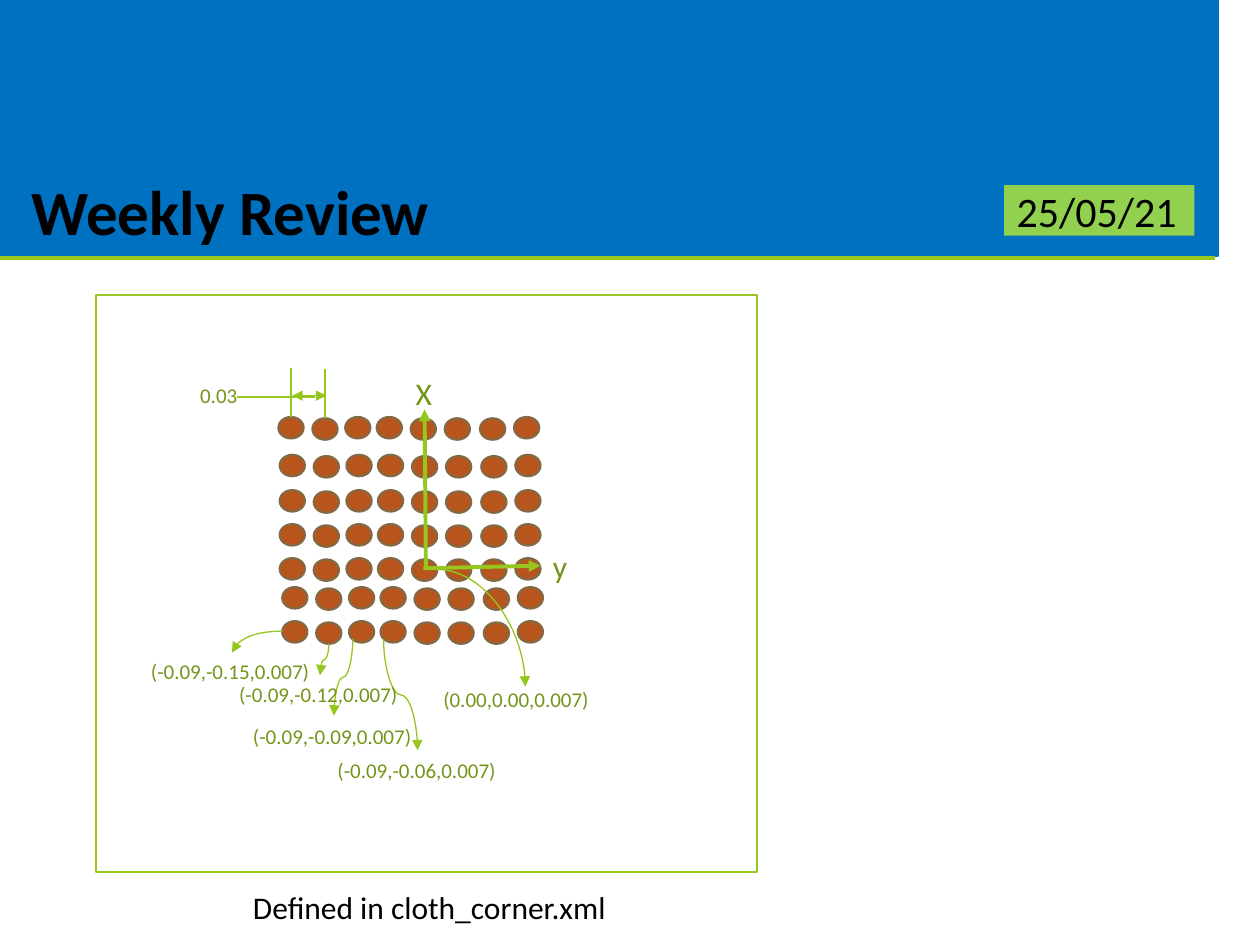
from dataclasses import dataclass

from lxml import etree
from pptx import Presentation
from pptx.dml.color import RGBColor
from pptx.enum import shapes, text
from pptx.oxml import ns
from pptx.util import Pt

PX = 9144


@dataclass(frozen=True)
class Theme:
    font: str = "Calibri"
    white: str = "FFFFFF"
    black: str = "000000"
    header: str = "0070C0"
    date: str = "92D050"
    frame: str = "98C723"
    line: str = "96C71E"
    label: str = "72951A"
    dot: str = "B8551D"
    dot_edge: str = "826A47"
    title_size: int = 36
    date_size: int = 24
    text_size: int = 18
    label_size: int = 12
    edge_width: float = 1.25
    thick: float = 2.25
    thin: float = 0.75


theme = Theme()


def write_text(shape, words, size, color, bold=False, wrap=True):
    frame = shape.text_frame
    frame.word_wrap = wrap
    frame.auto_size = text.MSO_AUTO_SIZE.NONE if wrap else text.MSO_AUTO_SIZE.SHAPE_TO_FIT_TEXT
    frame.vertical_anchor = text.MSO_ANCHOR.MIDDLE if wrap else text.MSO_ANCHOR.TOP
    paragraph = frame.paragraphs[0]
    paragraph.alignment = text.PP_ALIGN.LEFT
    run = paragraph.add_run()
    run.text = words
    run.font.name = theme.font
    run.font.size = Pt(size)
    run.font.bold = bold
    run.font.color.rgb = RGBColor.from_string(color)


def draw_line(kind, points, width, arrows=()):
    connector = slide.shapes.add_connector(kind, *(value * PX for value in points))
    connector.line.color.rgb = RGBColor.from_string(theme.line)
    connector.line.width = Pt(width)
    properties = connector._element.spPr
    outline = properties.find(ns.qn("a:ln"))
    for end in arrows:
        etree.SubElement(outline, ns.qn(f"a:{end}"), type="triangle")
    etree.SubElement(properties, ns.qn("a:effectLst"))
    return connector


presentation = Presentation()
presentation.slide_width = 1000 * PX
presentation.slide_height = 750 * PX
slide = presentation.slides.add_slide(presentation.slide_layouts[5])

RECTANGLE = shapes.MSO_SHAPE.RECTANGLE
OVAL = shapes.MSO_SHAPE.OVAL
columns = [(221, 0), (248, 1), (274, 0), (299, 0), (326, 1), (353, 1), (381, 1), (408, 0)]
rows = [(0, 331), (1, 361), (1, 389), (1, 416), (1, 443), (3, 466), (3, 493)]

blocks = [(RECTANGLE, 76, 234, 525, 458, theme.white, theme.frame)]
for shift, top in rows:
    for left, drop in columns:
        blocks.append((OVAL, left + shift, top + drop, 20, 17, theme.dot, theme.dot_edge))
blocks.append((RECTANGLE, 0, 0, 967, 203, theme.header, theme.header))
blocks.append((RECTANGLE, 797, 147, 151, 40, theme.date, None))

for kind, left, top, width, height, fill, edge in blocks:
    shape = slide.shapes.add_shape(kind, left * PX, top * PX, width * PX, height * PX)
    shape.shadow.inherit = False
    shape.fill.solid()
    shape.fill.fore_color.rgb = RGBColor.from_string(fill)
    if edge:
        shape.line.color.rgb = RGBColor.from_string(edge)
        shape.line.width = Pt(theme.edge_width)
    else:
        shape.line.fill.background()
        write_text(shape, "25/05/21", theme.date_size, theme.black)

title = slide.shapes.title
title.left, title.top, title.width, title.height = 15 * PX, 147 * PX, 365 * PX, 40 * PX
title.fill.solid()
title.fill.fore_color.rgb = RGBColor.from_string(theme.header)
write_text(title, "Weekly Review", theme.title_size, theme.black, bold=True)
slide.shapes._spTree.append(title._element)

straight_lines = [
    ((0, 205, 964, 205), theme.thick, ()),
    ((338, 451, 337, 325), theme.thick, ("tailEnd",)),
    ((336, 451, 429, 449), theme.thick, ("tailEnd",)),
    ((231, 331, 231, 292), theme.thin, ()),
    ((258, 332, 258, 293), theme.thin, ()),
    ((232, 314, 259, 314), theme.thin, ("headEnd", "tailEnd")),
    ((250, 315, 188, 315), theme.thin, ()),
]
for points, width, arrows in straight_lines:
    draw_line(shapes.MSO_CONNECTOR.STRAIGHT, points, width, arrows)

curves = [
    (184, 501, 40, 17, 180, "flipV", "curvedConnector2"),
    (245, 520, 25, 7, 90, None, "curvedConnector3"),
    (242, 530, 61, 15, 90, None, "curvedConnector3"),
    (274, 538, 88, 27, 270, "flipH", "curvedConnector3"),
    (347, 452, 70, 93, 0, None, "curvedConnector2"),
]
for left, top, width, height, angle, flip, preset in curves:
    points = (left, top, left + width, top + height)
    connector = draw_line(shapes.MSO_CONNECTOR.CURVE, points, theme.thin, ("tailEnd",))
    properties = connector._element.spPr
    properties.find(ns.qn("a:prstGeom")).set("prst", preset)
    transform = properties.find(ns.qn("a:xfrm"))
    transform.set("rot", str(angle * 60000))
    if flip:
        transform.set(flip, "1")

labels = [
    ("(-0.09,-0.15,0.007)", 110, 518, 147, 30, theme.label_size, theme.label),
    ("(-0.09,-0.12,0.007)", 180, 536, 147, 30, theme.label_size, theme.label),
    ("(-0.09,-0.09,0.007)", 191, 569, 147, 30, theme.label_size, theme.label),
    ("(-0.09,-0.06,0.007)", 258, 596, 147, 30, theme.label_size, theme.label),
    ("(0.00,0.00,0.007)", 342, 540, 137, 30, theme.label_size, theme.label),
    ("0.03", 149, 299, 50, 30, theme.label_size, theme.label),
    ("X", 320, 292, 33, 40, theme.text_size, theme.label),
    ("y", 429, 429, 32, 40, theme.text_size, theme.label),
    ("Defined in cloth_corner.xml", 191, 700, 304, 40, theme.text_size, theme.black),
]
for words, left, top, width, height, size, color in labels:
    label = slide.shapes.add_textbox(left * PX, top * PX, width * PX, height * PX)
    write_text(label, words, size, color, wrap=False)

presentation.save("out.pptx")
